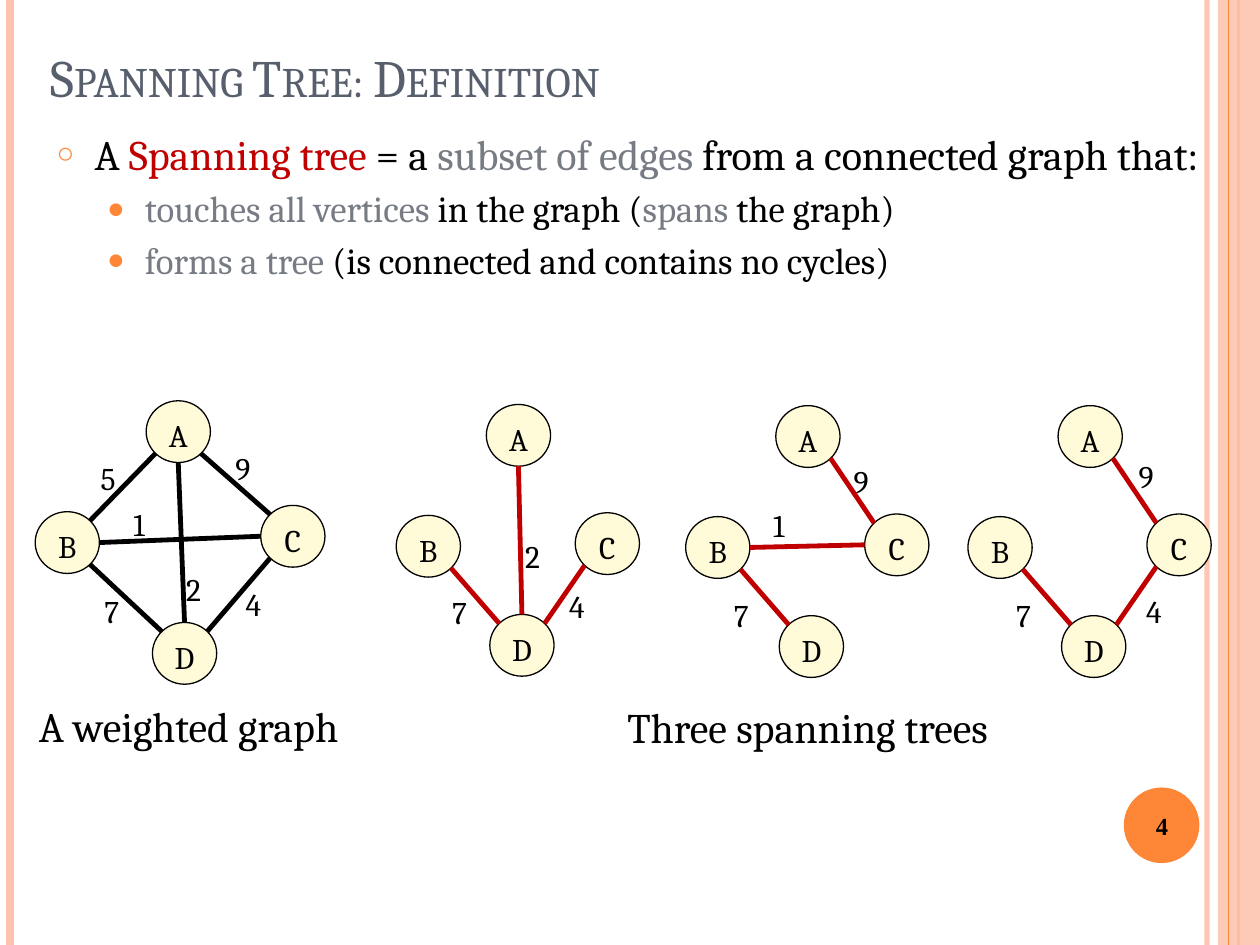
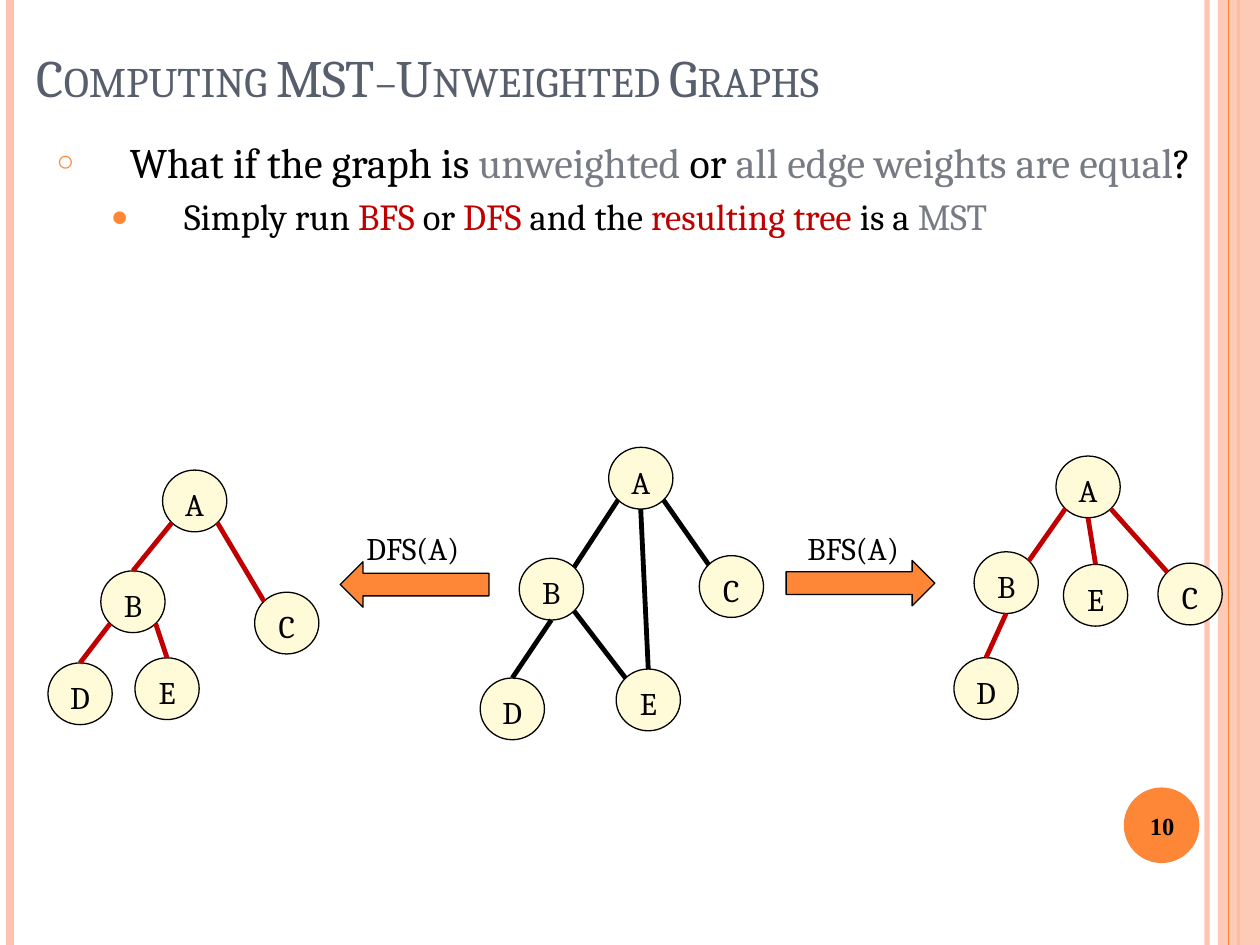
import math
from dataclasses import dataclass

import lxml.etree
import pptx
import pptx.dml.color
import pptx.enum.shapes
import pptx.enum.text
import pptx.oxml.ns
import pptx.util

Pt = pptx.util.Pt
Shape = pptx.enum.shapes.MSO_SHAPE
Anchor = pptx.enum.text.MSO_ANCHOR
Align = pptx.enum.text.PP_ALIGN
qn = pptx.oxml.ns.qn


@dataclass(frozen=True)
class Theme:
    font: str = "Cambria"
    number_font: str = "Times New Roman"
    text: str = "000000"
    title: str = "575F6D"
    key: str = "C00000"
    muted: str = "777C84"
    accent: str = "FE8637"
    band: str = "FEC3AE"
    node: str = "FFFAD8"
    title_size: float = 30
    body_sizes: tuple = (24, 21)
    caption_size: float = 24
    label_size: float = 18
    number_size: float = 14
    outline: float = 0.75
    edge: float = 2.75


THEME = Theme()
SLIDE_WIDTH, SLIDE_HEIGHT = 720, 540
NODE_WIDTH, NODE_HEIGHT = 36.7, 35.3
LABEL_SIZE = (26, 29)
BULLETS = (("○", 70), ("●", 80))
BULLET_GAPS = (6, 4.2)

# Where an edge meets a node, in degrees clockwise from the right.
SITES = {"right": 0, "low right": 45, "bottom": 90, "low left": 135,
         "left": 180, "high left": 225, "top": 270, "high right": 315}

# Node places are relative to node A.
WEIGHTED_NODES = {"A": (0, 0), "B": (-63.4, 63.4), "C": (65.5, 59.8), "D": (3.6, 126.7)}
SPANNING_NODES = {"A": (0, 0), "B": (-51.5, 63.4), "C": (50.8, 61.9), "D": (2, 120)}
UNWEIGHTED_NODES = {"A": (0, 0), "B": (-51.1, 63.4), "C": (51.8, 61.9),
                    "E": (4.3, 126.7), "D": (-73.4, 131.8)}
BFS_NODES = {"A": (0, 0), "B": (-46.8, 54.7), "C": (58.3, 61.2),
             "E": (4.3, 61.9), "D": (-58.3, 115.2)}
DFS_NODES = {"A": (0, 0), "B": (-35.3, 57.6), "C": (52.6, 69.8),
             "E": (-15.8, 107.3), "D": (-65.5, 110.2)}

AB = ("A", "low left", "B", "high right")
AC = ("A", "low right", "C", "high left")
AD = ("A", "bottom", "D", "top")
AE = ("A", "bottom", "E", "top")
BC = ("B", "right", "C", "left")
BD = ("B", "low right", "D", "high left")
BE = ("B", "low right", "E", "high left")
CD = ("C", "low left", "D", "high right")


def rgb(color):
    return pptx.dml.color.RGBColor.from_string(color)


def set_alpha(properties, percent):
    color = properties.find(".//" + qn("a:srgbClr"))
    lxml.etree.SubElement(color, qn("a:alpha"), val=str(percent * 1000))


def write(paragraph, text, size, color=THEME.text, font=THEME.font, bold=False,
          small_caps=False):
    run = paragraph.add_run()
    run.text = text
    run.font.size = Pt(size)
    run.font.name = font
    run.font.bold = bold
    run.font.color.rgb = rgb(color)
    if small_caps:
        run.font._element.set("cap", "small")


def place(shape, left, top, width, height):
    shape.left, shape.top = Pt(left), Pt(top)
    shape.width, shape.height = Pt(width), Pt(height)


def add_filled(shapes, kind, box, fill, outlined=True):
    shape = shapes.add_shape(kind, *map(Pt, box))
    shape.shadow.inherit = False
    shape.fill.solid()
    shape.fill.fore_color.rgb = rgb(fill)
    if outlined:
        shape.line.color.rgb = rgb(THEME.text)
        shape.line.width = Pt(THEME.outline)
    else:
        shape.line.fill.background()
    return shape


def add_line(shapes, start, end, color, width):
    line = shapes.add_connector(pptx.enum.shapes.MSO_CONNECTOR.STRAIGHT,
                                *map(Pt, (*start, *end)))
    line.line.color.rgb = rgb(color)
    line.line.width = Pt(width)
    lxml.etree.SubElement(line.element.spPr, qn("a:effectLst"))
    return line


def add_label(shapes, text, box, size=THEME.label_size, gap=0, align=Align.LEFT,
              anchor=Anchor.TOP, **text_format):
    frame = shapes.add_textbox(*map(Pt, box)).text_frame
    frame.word_wrap = True
    frame.vertical_anchor = anchor
    paragraph = frame.paragraphs[0]
    paragraph.alignment = align
    paragraph.space_before = Pt(gap)
    write(paragraph, text, size, **text_format)


def add_master_frame(master, slide):
    """Draw the side bands and number disc, then move them to the master."""
    def rule(x, color, width):
        return add_line(slide.shapes, (x, 0), (x, SLIDE_HEIGHT), color, width)

    inner_rule = rule(689.8, THEME.band, 3)
    set_alpha(inner_rule.element.spPr, 93)
    left_rule = rule(5.8, THEME.band, 4.5)
    outer_rule = rule(707.8, THEME.accent, 1.5)
    band = add_filled(slide.shapes, Shape.RECTANGLE, (696, 0, 24, SLIDE_HEIGHT),
                      THEME.band, outlined=False)
    set_alpha(band.element.spPr, 87)
    hairline = rule(702, THEME.accent, 0.75)
    disc = add_filled(slide.shapes, Shape.OVAL, (642.2, 450, 43.2, 43.2),
                      THEME.accent, outlined=False)
    for part in (inner_rule, left_rule, outer_rule, band, hairline, disc):
        master.element.cSld.spTree.append(part.element)


def fill_title(slide, text, left):
    title = slide.shapes.title
    place(title, left, 10.8, 708.5 - left, 54.7)
    frame = title.text_frame
    frame.auto_size = pptx.enum.text.MSO_AUTO_SIZE.NONE
    frame.vertical_anchor = Anchor.BOTTOM
    frame.paragraphs[0].alignment = Align.LEFT
    write(frame.paragraphs[0], text, THEME.title_size, THEME.title, small_caps=True)


def set_bullet(paragraph, level, indent, hanging):
    character, percent = BULLETS[level]
    properties = paragraph._p.get_or_add_pPr()
    properties.set("marL", str(Pt(indent)))
    properties.set("indent", str(-Pt(hanging)))
    color = lxml.etree.SubElement(properties, qn("a:buClr"))
    lxml.etree.SubElement(color, qn("a:srgbClr"), val=THEME.accent)
    lxml.etree.SubElement(properties, qn("a:buSzPct"), val=str(percent * 1000))
    lxml.etree.SubElement(properties, qn("a:buChar"), char=character)


def fill_body(slide, top, height, hanging, items):
    """Write items of (level, runs), each run being (text, color)."""
    body = slide.placeholders[1]
    place(body, 25.2, top, 677.5, height)
    frame = body.text_frame
    frame.auto_size = pptx.enum.text.MSO_AUTO_SIZE.NONE
    for position, (level, runs) in enumerate(items):
        paragraph = frame.add_paragraph() if position else frame.paragraphs[0]
        paragraph.level = level
        paragraph.space_before = Pt(BULLET_GAPS[level])
        set_bullet(paragraph, level, hanging + level * 31 - level * 2.2 * (hanging < 30),
                   hanging)
        for text, color in runs:
            write(paragraph, text, THEME.body_sizes[level], color)


def add_node(shapes, letter, left, top):
    node = add_filled(shapes, Shape.OVAL, (left, top, NODE_WIDTH, NODE_HEIGHT), THEME.node)
    node.text_frame.vertical_anchor = Anchor.TOP
    paragraph = node.text_frame.paragraphs[0]
    paragraph.alignment = Align.CENTER
    write(paragraph, letter, THEME.label_size)


def site_point(corner, site):
    angle = math.radians(SITES[site])
    return (corner[0] + NODE_WIDTH / 2 * (1 + math.cos(angle)),
            corner[1] + NODE_HEIGHT / 2 * (1 + math.sin(angle)))


def add_graph(slide, origin, nodes, edges, color, weights=()):
    """Draw a graph with node A at origin; weights are (text, x, y) relative to A."""
    shapes = slide.shapes.add_group_shape().shapes
    corners = {letter: (origin[0] + x, origin[1] + y) for letter, (x, y) in nodes.items()}
    for letter, corner in corners.items():
        add_node(shapes, letter, *corner)
    for start, start_site, end, end_site in edges:
        add_line(shapes, site_point(corners[start], start_site),
                 site_point(corners[end], end_site), color, THEME.edge)
    for weight, x, y in weights:
        add_label(shapes, weight, (origin[0] + x, origin[1] + y, *LABEL_SIZE))


def add_search_arrow(slide, caption, caption_left, left, top, rotation=0):
    shapes = slide.shapes.add_group_shape().shapes
    add_label(shapes, caption, (caption_left, 299, 77, 29))
    arrow = add_filled(shapes, Shape.RIGHT_ARROW, (left, top, 85, 26), THEME.accent)
    arrow.rotation = rotation


def add_number(slide, number):
    add_label(slide.shapes, number, (640, 451.4, 48.2, 41), THEME.number_size,
              align=Align.CENTER, anchor=Anchor.MIDDLE, font=THEME.number_font, bold=True)


def build_definition(slide):
    add_number(slide, "4")
    fill_title(slide, "Spanning Tree: Definition", 21.6)
    fill_body(slide, 69.8, 153.4, 21.6, [
        (0, [("A ", THEME.text), ("Spanning tree ", THEME.key), ("= a ", THEME.text),
             ("subset of edges ", THEME.muted),
             ("from a connected graph that:", THEME.text)]),
        (1, [("touches all vertices ", THEME.muted), ("in the graph (", THEME.text),
             ("spans", THEME.muted), (" the graph)", THEME.text)]),
        (1, [("forms a tree ", THEME.muted),
             ("(is connected and contains no cycles)", THEME.text)]),
    ])
    add_graph(slide, (83.5, 229), WEIGHTED_NODES, (AB, AC, AD, BC, BD, CD), THEME.text,
              (("5", -33.1, 29.5), ("9", 43.9, 23.8), ("2", 15.8, 92.9),
               ("1", -14.4, 56.2), ("7", -31, 105.8), ("4", 49.7, 101.5)))
    spanning_trees = (
        ((277.9, 231.1), (BD, CD, AD),
         (("2", 15.1, 72), ("4", 40.3, 100.8), ("7", -26.6, 104.4))),
        ((443.3, 231.8), (BD, AC, BC),
         (("9", 37.4, 28.8), ("1", -8.6, 54), ("7", -31, 105.1))),
        ((604.6, 231.8), (BD, AC, CD),
         (("9", 38.9, 25.9), ("4", 43.2, 103), ("7", -31, 105.1))),
    )
    for origin, edges, weights in spanning_trees:
        add_graph(slide, origin, SPANNING_NODES, edges, THEME.key, weights)
    for caption, box in (("A weighted graph", (15.1, 396.7, 219, 42.5)),
                         ("Three spanning trees", (351.4, 397.4, 252, 36.7))):
        add_label(slide.shapes, caption, box, THEME.caption_size, gap=4.8)


def build_unweighted(slide):
    add_number(slide, "10")
    fill_title(slide, "Computing MST–Unweighted Graphs", 13.7)
    fill_body(slide, 74.2, 142.6, 41.8, [
        (0, [("What if the graph is ", THEME.text), ("unweighted", THEME.muted),
             (" or ", THEME.text), ("all edge weights are equal", THEME.muted),
             ("?", THEME.text)]),
        (1, [("Simply run ", THEME.text), ("BFS", THEME.key), (" or ", THEME.text),
             ("DFS", THEME.key), (" and the ", THEME.text),
             ("resulting tree ", THEME.key), ("is a ", THEME.text),
             ("MST", THEME.muted)]),
    ])
    b_down_to_d = ("B", "bottom", "D", "top")
    add_graph(slide, (347.8, 255.6), UNWEIGHTED_NODES, (BE, AB, AC, b_down_to_d, AE),
              THEME.text)
    add_search_arrow(slide, "BFS(A)", 454.3, 449.2, 320.2)
    add_graph(slide, (603.4, 260.6), BFS_NODES, (AB, AC, b_down_to_d, AE), THEME.key)
    add_graph(slide, (92.9, 268.6), DFS_NODES,
              (("A", "low left", "B", "top"), AC, ("B", "low left", "D", "top"),
               ("B", "low right", "E", "top")), THEME.key)
    add_search_arrow(slide, "DFS(A)", 202.3, 194.4, 321, rotation=180)


def main():
    deck = pptx.Presentation()
    deck.slide_width, deck.slide_height = Pt(SLIDE_WIDTH), Pt(SLIDE_HEIGHT)
    layout = deck.slide_layouts[1]
    definition = deck.slides.add_slide(layout)
    unweighted = deck.slides.add_slide(layout)
    add_master_frame(deck.slide_master, definition)
    build_definition(definition)
    build_unweighted(unweighted)
    deck.save("out.pptx")


if __name__ == "__main__":
    main()
